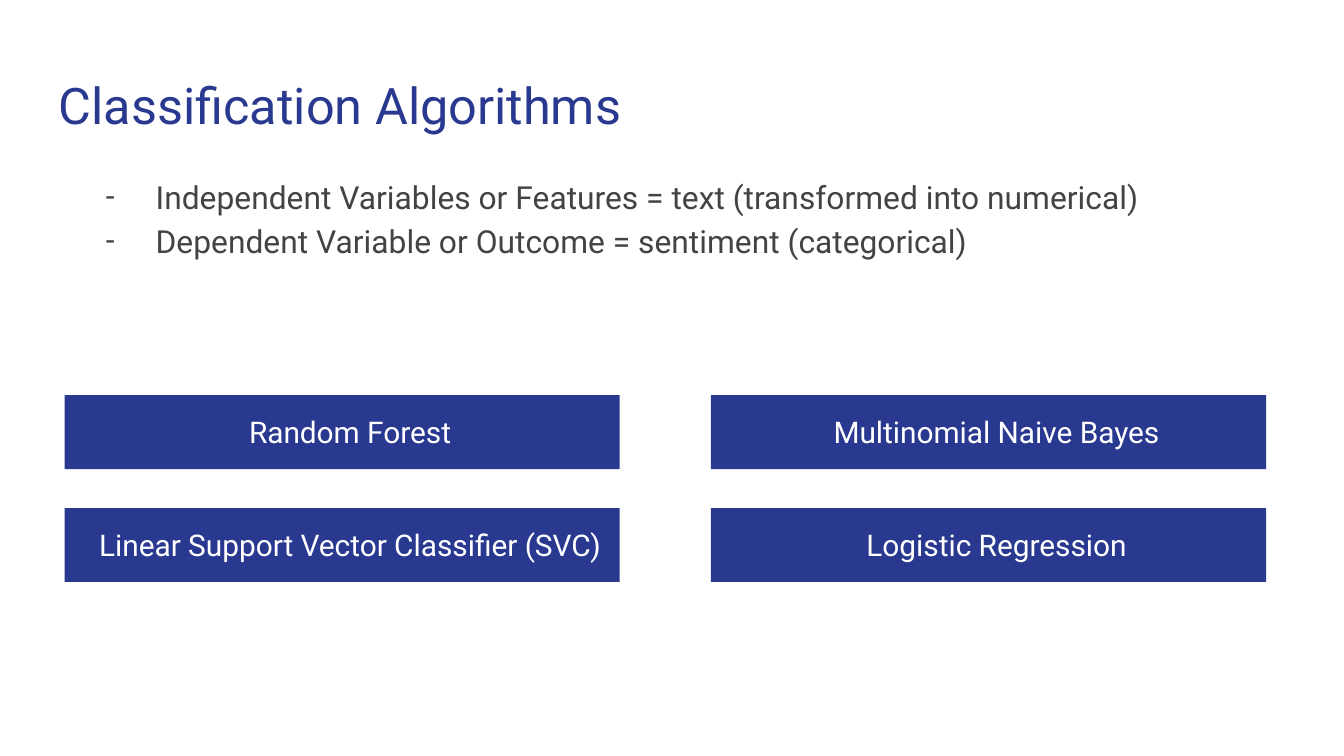
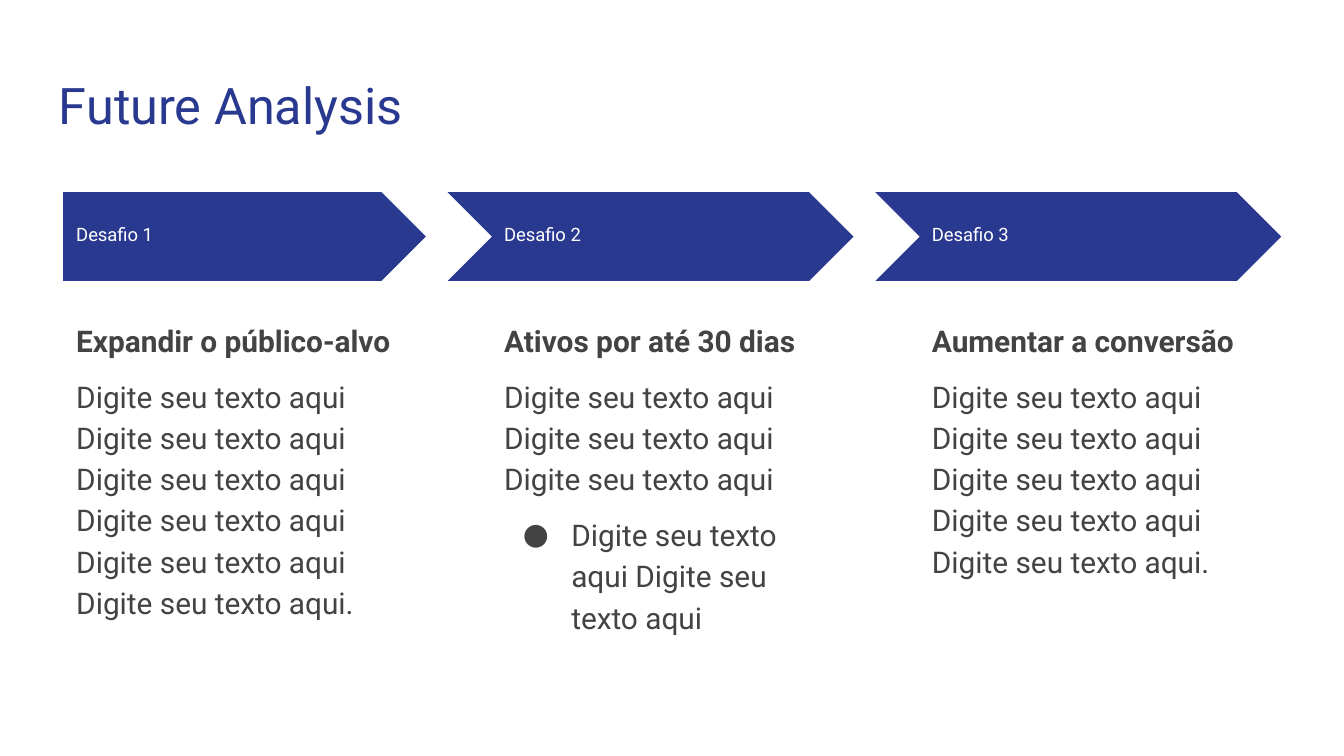
from lxml.etree import SubElement
from pptx import Presentation
from pptx.dml.color import RGBColor
from pptx.enum.shapes import MSO_SHAPE
from pptx.enum.text import MSO_ANCHOR, PP_ALIGN
from pptx.oxml.ns import qn
from pptx.util import Pt

HUES = {"navy": "2A3990", "gray": "434343", "white": "FFFFFF"}
FONT = "Roboto"
LINE = "Digite seu texto aqui"

FACTS = [
    "Independent Variables or Features = text (transformed into numerical)",
    "Dependent Variable or Outcome = sentiment (categorical)",
]
MODELS = [
    ["Random Forest", "Multinomial Naive Bayes"],
    ["Linear Support Vector Classifier (SVC)", "Logistic Regression"],
]
# label, heading, lines of body text, closing mark, bullet
STEPS = [
    ("Desafio 1", "Expandir o público-alvo", 6, ".", None),
    ("Desafio 2", "Ativos por até 30 dias", 3, "", f"{LINE} {LINE}"),
    ("Desafio 3", "Aumentar a conversão", 5, ".", None),
]

# Paragraph formats
TITLE = {"size": 27, "hue": "navy"}
FACT = {"size": 17, "hue": "gray", "line_spacing": 1.15, "mark": ("-", 26.64)}
MODEL = {"size": 16, "hue": "white", "line_spacing": 1.15,
         "alignment": PP_ALIGN.CENTER}
LABEL = {"size": 9.9, "hue": "white", "line_spacing": 0.8}
HEAD = {"size": 16, "hue": "gray", "line_spacing": 1.15, "bold": True}
BODY = {"size": 16, "hue": "gray", "line_spacing": 1.15, "space_before": Pt(8)}
LAST = {**BODY, "space_after": Pt(8)}
POINT = {**BODY, "mark": ("●", 25.92)}


def color(name):
    return RGBColor.from_string(HUES[name])


def bullet(para, char, hang):
    props = para._p.get_or_add_pPr()
    props.set("marL", str(Pt(36)))
    props.set("indent", str(-Pt(hang)))
    tint = SubElement(props, qn("a:buClr"))
    SubElement(tint, qn("a:srgbClr"), val=HUES["gray"])
    SubElement(props, qn("a:buFont"), typeface=FONT)
    SubElement(props, qn("a:buChar"), char=char)


def write(slide, box, paras, anchor=MSO_ANCHOR.TOP):
    """Add a text box holding (text, format) paragraphs."""
    frame = slide.shapes.add_textbox(*map(Pt, box)).text_frame
    frame.word_wrap = True
    frame.vertical_anchor = anchor
    for side in ("left", "top", "right", "bottom"):
        setattr(frame, f"margin_{side}", Pt(7.2))
    for i, (text, style) in enumerate(paras):
        para = frame.add_paragraph() if i else frame.paragraphs[0]
        run = para.add_run()
        run.text = text
        run.font.name = FONT
        run.font.size = Pt(style["size"])
        run.font.bold = style.get("bold", False)
        run.font.color.rgb = color(style["hue"])
        for key in ("alignment", "line_spacing", "space_before", "space_after"):
            if key in style:
                setattr(para, key, style[key])
        if "mark" in style:
            bullet(para, *style["mark"])


def block(slide, kind, box):
    shape = slide.shapes.add_shape(kind, *map(Pt, box))
    shape.shadow.inherit = False
    shape.fill.solid()
    shape.fill.fore_color.rgb = color("navy")
    shape.line.fill.background()


def start(deck, title):
    slide = deck.slides.add_slide(deck.slide_layouts[6])
    slide.background.fill.solid()
    slide.background.fill.fore_color.rgb = color("white")
    write(slide, (24.5, 32.4, 671, 47.5), [(title, TITLE)])
    return slide


def models(deck):
    slide = start(deck, "Classification Algorithms")
    write(slide, (40.3, 85, 603.4, 61.2), [(fact, FACT) for fact in FACTS])
    wide, high, inset = 297.4, 39.6, 8.6
    for r, row in enumerate(MODELS):
        for c, name in enumerate(row):
            left, top = 34.6 + 346.3 * c, 211.7 + 60.5 * r
            block(slide, MSO_SHAPE.RECTANGLE, (left, top, wide, high))
            write(slide, (left + inset, top, wide - inset, high),
                  [(name, MODEL)])


def steps(deck):
    slide = start(deck, "Future Analysis")
    top, high, pitch = 103, 47.5, 229.2
    for i, (label, head, count, end, point) in enumerate(STEPS):
        left = 33.8 + pitch * i
        if i:
            kind, edge, wide = MSO_SHAPE.CHEVRON, left - 23.2, 217.4
        else:
            kind, edge, wide = MSO_SHAPE.PENTAGON, left, 194.4
        block(slide, kind, (edge, top, wide, high))
        write(slide, (left, 114.5, 177.8, 24.5), [(label, LABEL)],
              MSO_ANCHOR.MIDDLE)
        text = " ".join([LINE] * count) + end
        paras = [(head, HEAD), (text, BODY if point else LAST)]
        if point:
            paras.append((point, POINT))
        write(slide, (left, 162.7, 194.4, 208.8), paras)


def main():
    deck = Presentation()
    deck.slide_width, deck.slide_height = Pt(720), Pt(405)
    models(deck)
    steps(deck)
    deck.save("out.pptx")


if __name__ == "__main__":
    main()
